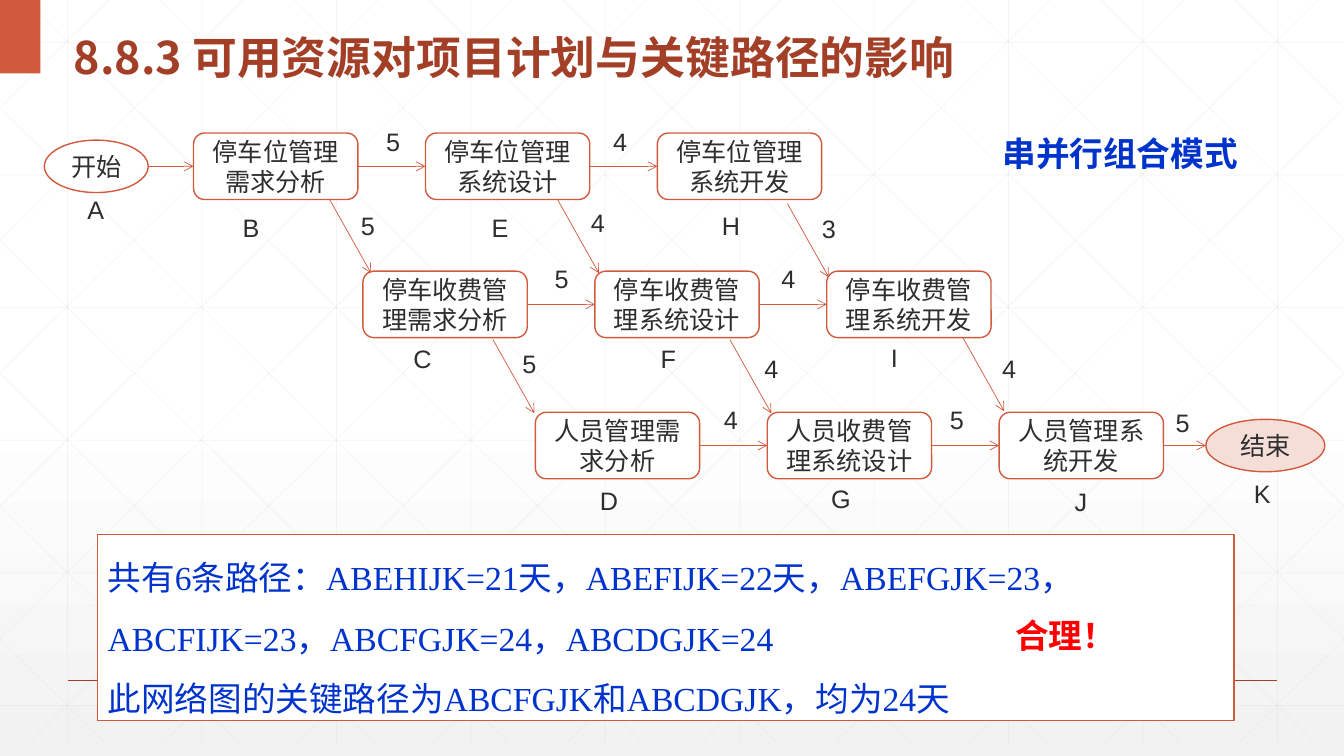
from lxml.etree import SubElement
from pptx import Presentation
from pptx.dml.color import RGBColor
from pptx.enum.shapes import MSO_CONNECTOR as CONNECTOR, MSO_SHAPE as SHAPE
from pptx.enum.text import MSO_ANCHOR as ANCHOR, MSO_AUTO_SIZE as AUTO_SIZE, PP_ALIGN as ALIGN
from pptx.oxml.ns import qn
from pptx.util import Inches, Pt

WIDTH, HEIGHT = 13.33, 7.5
GRID_BOTTOM, GRID_STEP, DIAGONAL_RUN = 7.37, 4 / 3, 7.46
ORANGE, RUST, INK, BLUE, RED = "D15A3E", "A43F27", "2D2E2D", "0033CC", "FF0000"
WHITE, PINK, GREY, PALE = "FFFFFF", "F6DED8", "D9D9D9", "F2F2F2"
LATIN, SERIF, CHINESE = "Arial", "Times New Roman", "Noto Sans CJK SC"
TASK_WIDTH, TASK_HEIGHT, TASK_STEP = 1.63, 0.66, 2.3

TASK_ROWS = [
    (1.92, 1.32, ["停车位管理需求分析", "停车位管理系统设计", "停车位管理系统开发"]),
    (3.6, 2.69, ["停车收费管理需求分析", "停车收费管理系统设计", "停车收费管理系统开发"]),
    (5.31, 4.09, ["人员管理需求分析", "人员收费管理系统设计", "人员管理系统开发"]),
]
HANDOVERS = [(3.27, 1.98), (5.53, 1.98), (7.81, 2.02), (4.89, 3.37), (7.24, 3.37), (9.55, 3.35)]
NODE_LABELS = [
    ("A", 0.95, 1.88), ("B", 2.49, 2.06), ("E", 4.96, 2.06), ("H", 7.25, 2.04),
    ("C", 4.19, 3.36), ("F", 6.63, 3.36), ("I", 8.87, 3.35),
    ("D", 6.04, 4.77), ("G", 8.34, 4.75), ("J", 10.72, 4.78), ("K", 12.52, 4.7),
]
DAY_LABELS = [
    ("5", 3.9, 1.2), ("4", 6.15, 1.2), ("5", 3.65, 2.04), ("4", 5.93, 2.01), ("3", 8.22, 2.07),
    ("5", 5.57, 2.56), ("4", 7.82, 2.56), ("5", 5.25, 3.41), ("4", 7.65, 3.46), ("4", 10.01, 3.46),
    ("4", 7.25, 3.96), ("5", 9.49, 3.96), ("5", 11.73, 3.99),
]
CONCLUSIONS = [
    "共有6条路径：ABEHIJK=21天，ABEFIJK=22天，ABEFGJK=23，"
    "ABCFIJK=23，ABCFGJK=24，ABCDGJK=24",
    "此网络图的关键路径为ABCFGJK和ABCDGJK，均为24天",
]


def color(value):
    """Turn a hex string into a colour."""
    return RGBColor.from_string(value)


def write(frame, lines, size, ink, face=LATIN, bold=False, align=ALIGN.LEFT, spacing=1.0):
    """Fill a text frame with evenly formatted paragraphs."""
    frame.text = "\n".join(lines)
    for para in frame.paragraphs:
        para.alignment, para.line_spacing = align, spacing
        font = para.font
        font.size, font.name, font.bold = Pt(size), face, bold
        font.color.rgb = color(ink)
        SubElement(font._element, qn("a:ea"), typeface=CHINESE)


def add_line(page, start, end, ink, width, alpha=None, arrow=False):
    """Draw a straight line, optionally faint or with an arrowhead."""
    points = [Inches(value) for value in (*start, *end)]
    line = page.shapes.add_connector(CONNECTOR.STRAIGHT, *points)
    line.line.color.rgb, line.line.width = color(ink), Pt(width)
    properties = line._element.spPr
    if alpha:
        SubElement(properties.find(".//" + qn("a:srgbClr")), qn("a:alpha"), val=str(alpha * 1000))
    if arrow:
        SubElement(line.line._get_or_add_ln(), qn("a:tailEnd"), type="arrow")
    SubElement(properties, qn("a:effectLst"))
    return line


def add_arrow(page, start, end):
    """Draw a thin arrow of the network."""
    return add_line(page, start, end, ORANGE, 0.5, arrow=True)


def add_box(page, kind, left, top, width, height, fill=WHITE, outline=ORANGE):
    """Add a flat preset shape."""
    box = page.shapes.add_shape(kind, Inches(left), Inches(top), Inches(width), Inches(height))
    box.shadow.inherit = False
    box.fill.solid()
    box.fill.fore_color.rgb = color(fill)
    box.line.color.rgb, box.line.width = color(outline), Pt(1)
    box.text_frame.word_wrap = True
    box.text_frame.vertical_anchor = ANCHOR.MIDDLE
    return box


def add_node(page, kind, text, left, top, width, height, fill=WHITE):
    """Add a network node with centred text."""
    node = add_box(page, kind, left, top, width, height, fill)
    write(node.text_frame, [text], 18, INK, align=ALIGN.CENTER)
    return node


def add_label(page, text, center, top, width=0.4, size=18, ink=INK, bold=False):
    """Add a short label centred on a horizontal position."""
    box = page.shapes.add_textbox(
        Inches(center - width / 2), Inches(top), Inches(width), Inches(0.4 if size < 24 else 0.5))
    box.text_frame.word_wrap = False
    box.text_frame.auto_size = AUTO_SIZE.SHAPE_TO_FIT_TEXT
    write(box.text_frame, [text], size, ink, bold=bold, align=ALIGN.CENTER)


def add_grid(page):
    """Draw the faint lattice of straight and diagonal lines."""
    lines = []
    for index in range(10):
        x = 0.67 + index * GRID_STEP
        lines.append(((x, 0), (x, GRID_BOTTOM)))
    for index in range(6):
        y = 0.42 + index * 1.316
        lines.append(((0, y), (WIDTH, y)))
    slope = GRID_BOTTOM / DIAGONAL_RUN
    for index in range(-5, 10):
        origin = 0.25 + index * GRID_STEP
        left, right = max(origin, 0), min(origin + DIAGONAL_RUN, WIDTH)
        top, bottom = (left - origin) * slope, (right - origin) * slope
        lines.append(((left, top), (right, bottom)))
        lines.append(((WIDTH - left, top), (WIDTH - right, bottom)))
    for start, end in lines:
        add_line(page, start, end, GREY, 0.5, alpha=25)


def add_backdrop(page):
    """Paint the background, lattice, corner block and footer line."""
    fill = page.background.fill
    fill.gradient()
    fill.gradient_angle = 270
    for stop, position, shade in zip(fill.gradient_stops, (0.53, 1), (WHITE, PALE)):
        stop.position, stop.color.rgb = position, color(shade)
    add_grid(page)
    add_line(page, (0.67, 6.75), (12.67, 6.75), RUST, 1)
    corner = add_box(page, SHAPE.RECTANGLE, 0, 0, 0.4, 0.73, ORANGE)
    corner.line.fill.background()


def set_title(page, text):
    """Place and format the title above the backdrop."""
    title = page.shapes.title
    title.left, title.top, title.width, title.height = map(Inches, (0.63, 0.12, 12.13, 0.73))
    title.text_frame.vertical_anchor = ANCHOR.MIDDLE
    title.text_frame.auto_size = AUTO_SIZE.NONE
    write(title.text_frame, [text], 32, RUST, CHINESE, True, spacing=1.3)
    page.shapes._spTree.append(title._element)


def add_network(page):
    """Draw the tasks, their arrows and their labels."""
    for left, top, names in TASK_ROWS:
        middle, previous = top + TASK_HEIGHT / 2, None
        for index, name in enumerate(names):
            x = left + index * TASK_STEP
            task = add_node(page, SHAPE.ROUNDED_RECTANGLE, name, x, top, TASK_WIDTH, TASK_HEIGHT)
            if previous:
                arrow = add_arrow(page, (x - TASK_STEP + TASK_WIDTH, middle), (x, middle))
                arrow.begin_connect(previous, 3)
                arrow.end_connect(task, 1)
            elif top == TASK_ROWS[0][1]:
                add_arrow(page, (1.47, middle), (x, middle)).end_connect(task, 1)
            previous = task
    add_arrow(page, (11.53, middle), (11.96, middle)).begin_connect(previous, 3)
    add_node(page, SHAPE.OVAL, "开始", 0.44, 1.39, 1.03, 0.52)
    add_node(page, SHAPE.OVAL, "结束", 11.96, 4.16, 1.18, 0.52, PINK)
    for x, y in HANDOVERS:
        add_arrow(page, (x, y), (x + 0.41, y + 0.73))
    for text, center, top in NODE_LABELS + DAY_LABELS:
        add_label(page, text, center, top)


def main():
    """Build and save the slide."""
    deck = Presentation()
    deck.slide_width, deck.slide_height = Inches(WIDTH), Inches(HEIGHT)
    page = deck.slides.add_slide(deck.slide_layouts[5])
    add_backdrop(page)
    set_title(page, "8.8.3 可用资源对项目计划与关键路径的影响")
    add_network(page)
    panel = add_box(page, SHAPE.RECTANGLE, 0.97, 5.3, 11.27, 1.85)
    write(panel.text_frame, CONCLUSIONS, 24, BLUE, SERIF, spacing=1.5)
    add_label(page, "串并行组合模式", 11.11, 1.27, 2.6, 24, BLUE, True)
    add_label(page, "合理！", 10.57, 6.05, 1.21, 24, RED, True)
    deck.save("out.pptx")


if __name__ == "__main__":
    main()
